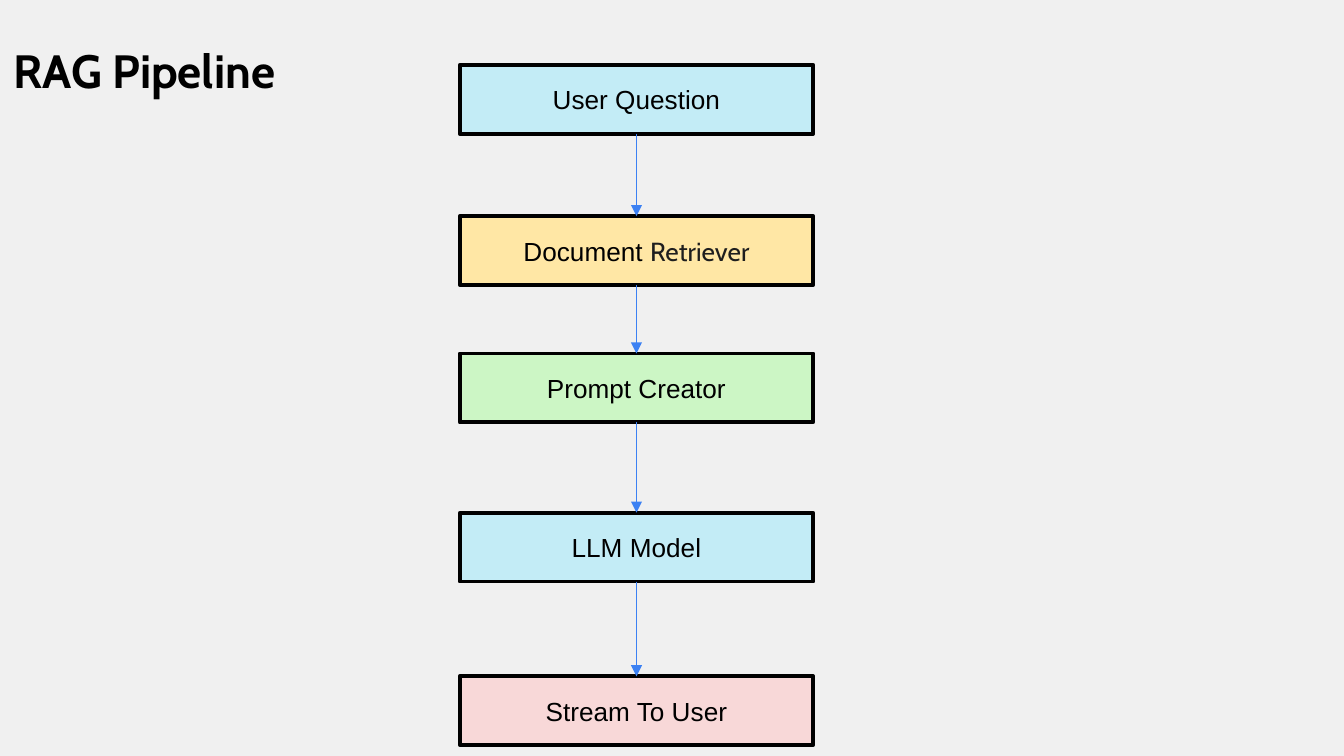
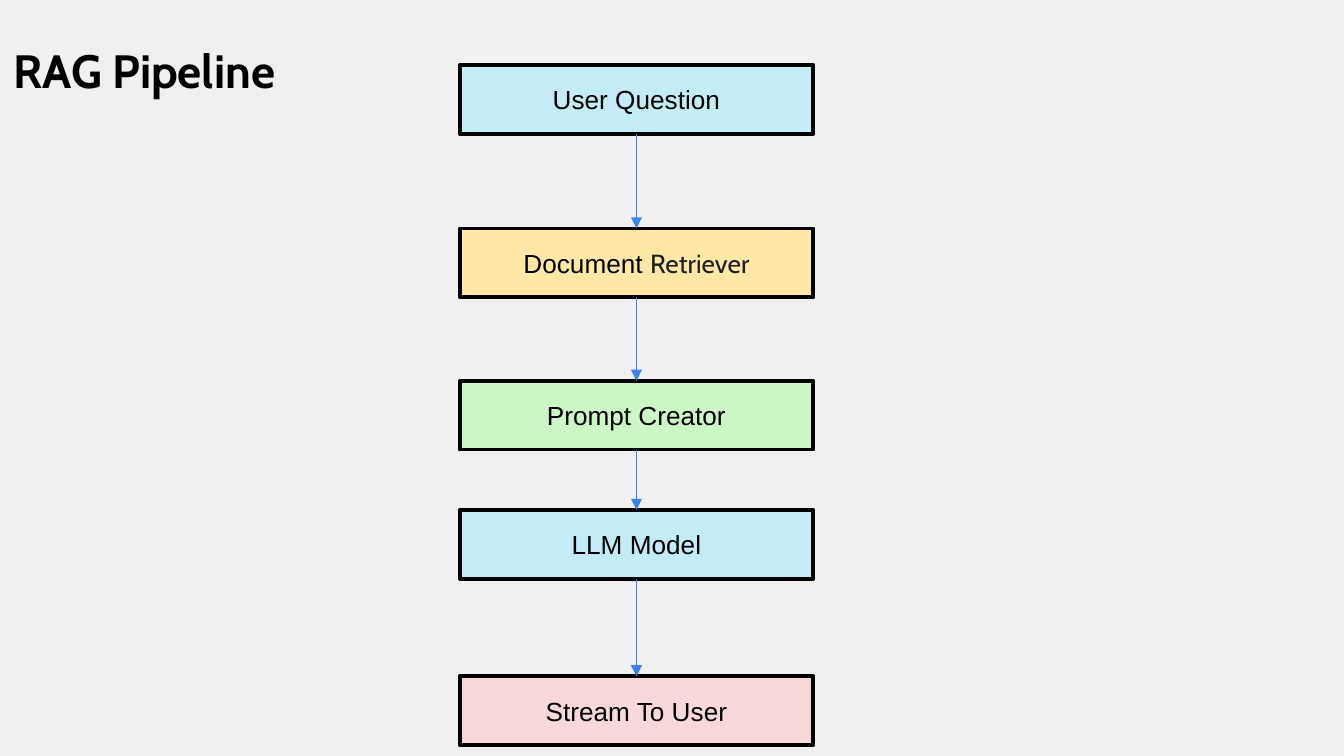
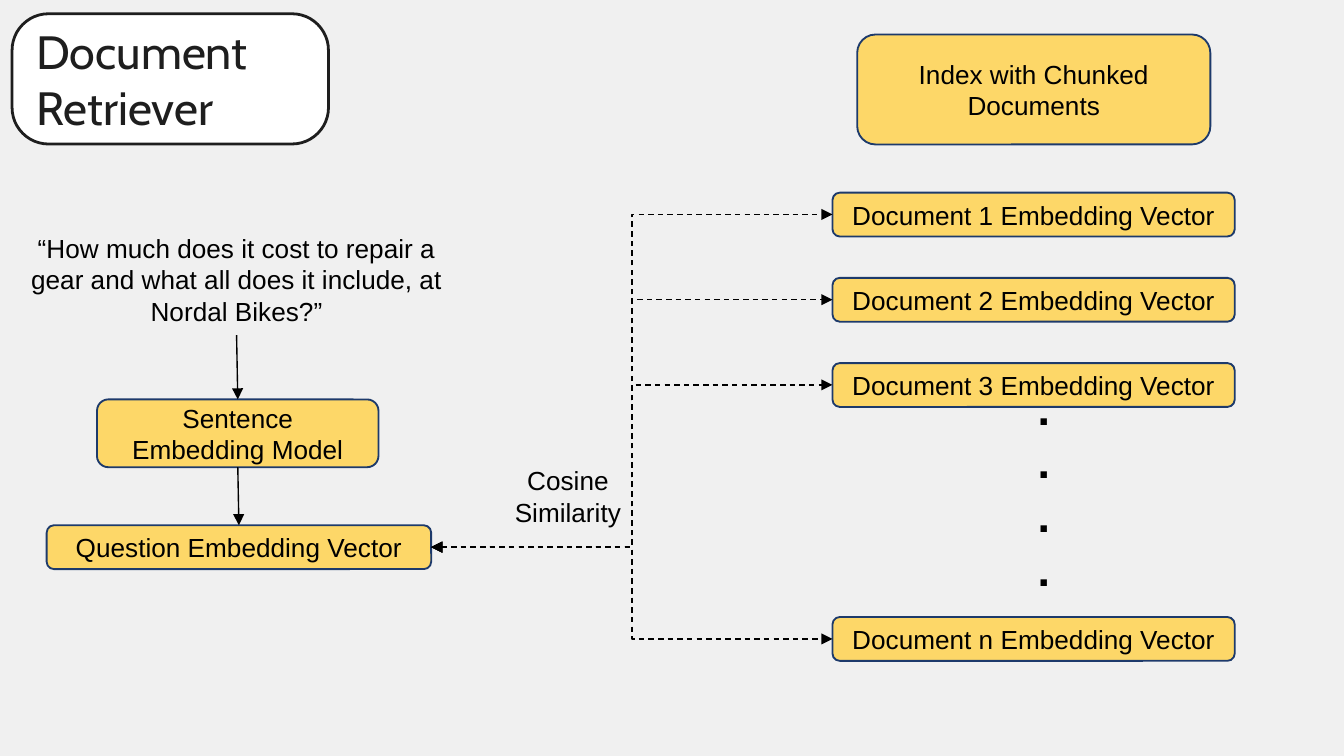
from dataclasses import dataclass
from itertools import pairwise

from lxml import etree
from pptx import Presentation
from pptx.dml.color import RGBColor
from pptx.enum import dml, shapes, text
from pptx.oxml import ns
from pptx.util import Pt


@dataclass(frozen=True)
class Theme:
    ground: str = "F0F0F0"
    black: str = "000000"
    ink: str = "1E1E1E"
    white: str = "FFFFFF"
    sky: str = "C3ECF6"
    sand: str = "FFE7A5"
    mint: str = "CCF6C5"
    rose: str = "F8D8D8"
    gold: str = "FDD768"
    navy: str = "1D3A6B"
    blue: str = "3C81F3"
    heading_face: str = "Cabin"
    body_face: str = "Arial"
    heading_size: float = 25
    body_size: float = 14
    dot_size: float = 24


THEME = Theme()
TITLE_ONLY = 5
TOP, LEFT, BOTTOM, RIGHT = range(4)
RECT = shapes.MSO_SHAPE.RECTANGLE
ROUNDED = shapes.MSO_SHAPE.ROUNDED_RECTANGLE
STRAIGHT = shapes.MSO_CONNECTOR.STRAIGHT
ELBOW = shapes.MSO_CONNECTOR.ELBOW

STAGES = [
    (["User Question"], THEME.sky),
    (["Document ", "Retriever"], THEME.sand),
    (["Prompt Creator"], THEME.mint),
    (["LLM Model"], THEME.sky),
    (["Stream To User"], THEME.rose),
]


def colour(value):
    return RGBColor.from_string(value)


def style(font, size=THEME.body_size, face=THEME.body_face, ink=THEME.black, bold=False):
    font.size, font.name, font.bold = Pt(size), face, bold
    font.color.rgb = colour(ink)


def add_title(page, words, area, anchor, ink, bold, inset=7.2):
    title = page.shapes.title
    title.left, title.top, title.width, title.height = map(Pt, area)
    frame = title.text_frame
    frame.text = words
    frame.word_wrap = True
    frame.auto_size = text.MSO_AUTO_SIZE.NONE
    frame.vertical_anchor = anchor
    frame.margin_left = frame.margin_right = Pt(inset)
    frame.margin_top = frame.margin_bottom = Pt(7.2)
    para = frame.paragraphs[0]
    para.alignment = text.PP_ALIGN.LEFT
    style(para.font, THEME.heading_size, THEME.heading_face, ink, bold)


def add_box(page, kind, area, fill, line, weight):
    box = page.shapes.add_shape(kind, *map(Pt, area))
    box.shadow.inherit = False
    box.fill.solid()
    box.fill.fore_color.rgb = colour(fill)
    box.line.color.rgb = colour(line)
    box.line.width = Pt(weight)
    return box


def add_label(box, spans):
    """Centre the spans in the box; a second span takes the heading face."""
    frame = box.text_frame
    frame.word_wrap = True
    frame.vertical_anchor = text.MSO_ANCHOR.MIDDLE
    para = frame.paragraphs[0]
    para.alignment = text.PP_ALIGN.CENTER
    style(para.font)
    for index, words in enumerate(spans):
        span = para.add_run()
        span.text = words
        if index:
            style(span.font, face=THEME.heading_face, ink=THEME.ink)


def add_gold_box(page, words, area):
    box = add_box(page, ROUNDED, area, THEME.gold, THEME.navy, 1)
    add_label(box, [words])
    return box


def add_note(page, words, area):
    note = page.shapes.add_textbox(*map(Pt, area))
    add_label(note, [words])
    note.text_frame.vertical_anchor = text.MSO_ANCHOR.TOP
    return note


def join(page, start, start_side, end, end_side, kind=STRAIGHT, ink=THEME.black,
         dashed=False, heads=("tailEnd",)):
    link = page.shapes.add_connector(kind, 0, 0, 0, 0)
    link.begin_connect(start, start_side)
    link.end_connect(end, end_side)
    link.line.color.rgb = colour(ink)
    link.line.width = Pt(0.75)
    if dashed:
        link.line.dash_style = dml.MSO_LINE.DASH
    outline = link.line._get_or_add_ln()
    for head in heads:
        etree.SubElement(outline, ns.qn(f"a:{head}"), type="triangle")
    etree.SubElement(link._element.spPr, ns.qn("a:effectLst"))


def draw_flow(page, left, width, height, tops):
    boxes = []
    for (spans, fill), top in zip(STAGES, tops):
        box = add_box(page, RECT, (left, top, width, height), fill, THEME.black, 2)
        add_label(box, spans)
        boxes.append(box)
    for upper, lower in pairwise(boxes):
        join(page, upper, BOTTOM, lower, TOP, ink=THEME.blue)


def pipeline_slide(page, tops):
    add_title(page, "RAG Pipeline", (0, 0, 179.5, 59.5), text.MSO_ANCHOR.BOTTOM,
              THEME.black, True)
    draw_flow(page, 246.3, 189.4, 36.9, tops)


def draw_heading(page, area):
    """Set the title on a rounded frame that lies behind it."""
    frame = add_box(page, ROUNDED, area, THEME.white, THEME.ink, 1.5)
    frame.adjustments[0] = 0.28
    add_title(page, "Document Retriever", area, text.MSO_ANCHOR.MIDDLE,
              THEME.ink, False, inset=13)
    page.shapes.title._element.addprevious(frame._element)


def draw_question(page, left, top):
    """Stack the question, its model and its vector; return the vector box."""
    question = add_note(
        page,
        "“How much does it cost to repair a gear and what all does it include, "
        "at Nordal Bikes?”",
        (left, top, 240.5, 58.5))
    model = add_gold_box(page, "Sentence Embedding Model",
                         (left + 45.5, top + 93, 150.8, 36.3))
    vector = add_gold_box(page, "Question Embedding Vector",
                          (left + 18.5, top + 160.4, 206, 23.5))
    join(page, question, BOTTOM, model, TOP)
    join(page, model, BOTTOM, vector, TOP)
    return vector


def draw_dots(page, area, count):
    frame = page.shapes.add_textbox(*map(Pt, area)).text_frame
    frame.word_wrap = True
    for index in range(count):
        para = frame.add_paragraph() if index else frame.paragraphs[0]
        para.text = "."
        style(para.font, THEME.dot_size, bold=True)


def draw_index(page, left, top):
    """Stack the document vectors under the index box; return the vector boxes."""
    width, height, step = 215.5, 23.5, 45.65
    add_gold_box(page, "Index with Chunked Documents",
                 (left + 13.2, top - 84.7, 189.2, 58.9))
    rows = [("1", 0), ("2", 1), ("3", 2), ("n", 4.98)]
    vectors = [
        add_gold_box(page, f"Document {name} Embedding Vector",
                     (left, top + row * step, width, height))
        for name, row in rows
    ]
    draw_dots(page, (left + 102.8, top + 97, 39, 124), 4)
    return vectors


def retriever_slide(page):
    draw_heading(page, (6.5, 7.4, 169.5, 69.8))
    question = draw_question(page, 6.5, 121)
    for document in draw_index(page, 446, 103.2):
        join(page, question, RIGHT, document, LEFT, kind=ELBOW, dashed=True,
             heads=("headEnd", "tailEnd"))
    add_note(page, "Cosine Similarity", (252, 245.5, 104.5, 41))


def main():
    deck = Presentation()
    deck.slide_width, deck.slide_height = Pt(720), Pt(405)
    ground = deck.slide_master.background.fill
    ground.solid()
    ground.fore_color.rgb = colour(THEME.ground)
    layout = deck.slide_layouts[TITLE_ONLY]
    for tops in [(34.8, 115.8, 189.4, 274.7, 362.3),
                 (34.8, 122.4, 204, 273.2, 362.3)]:
        pipeline_slide(deck.slides.add_slide(layout), tops)
    retriever_slide(deck.slides.add_slide(layout))
    deck.save("out.pptx")


if __name__ == "__main__":
    main()
